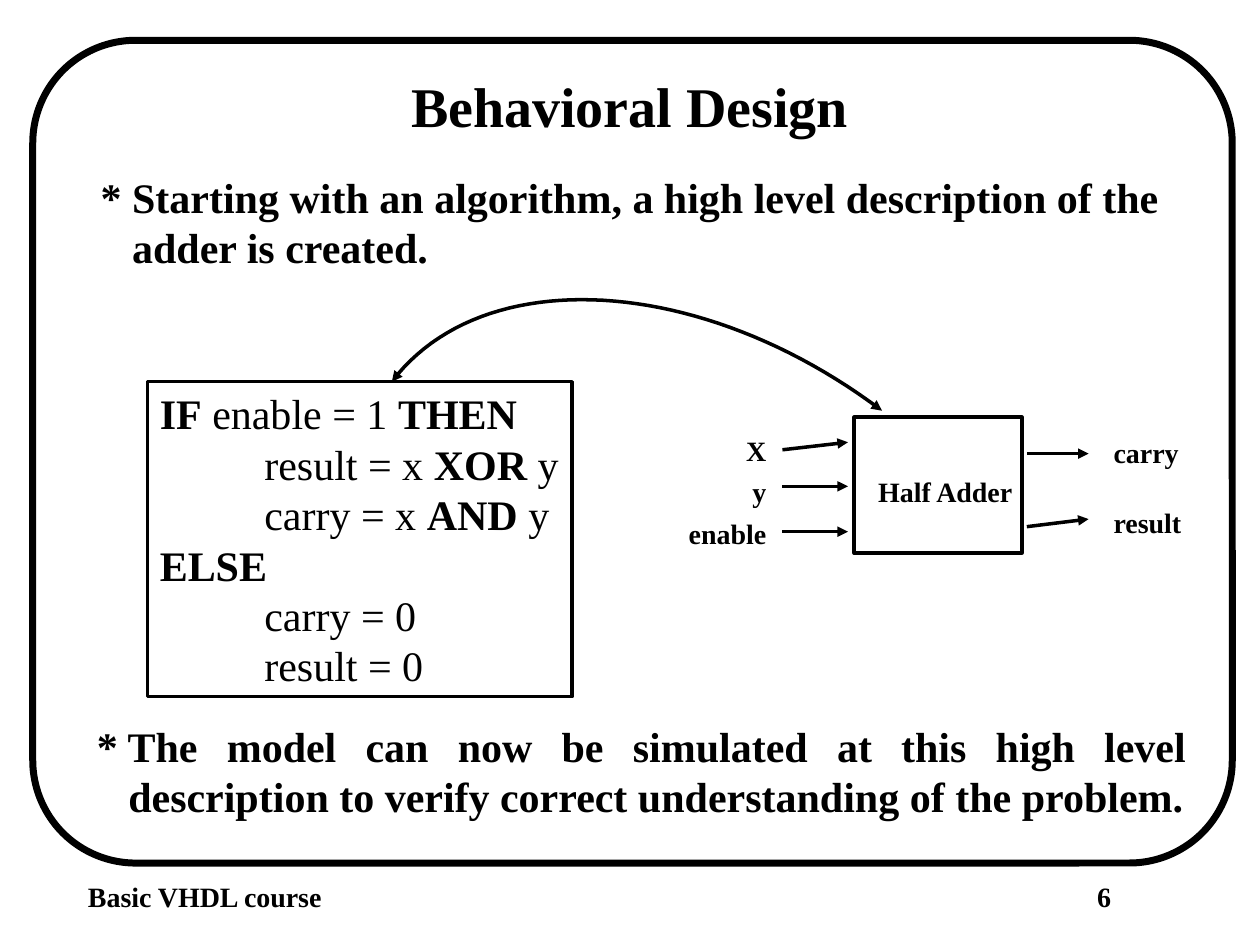
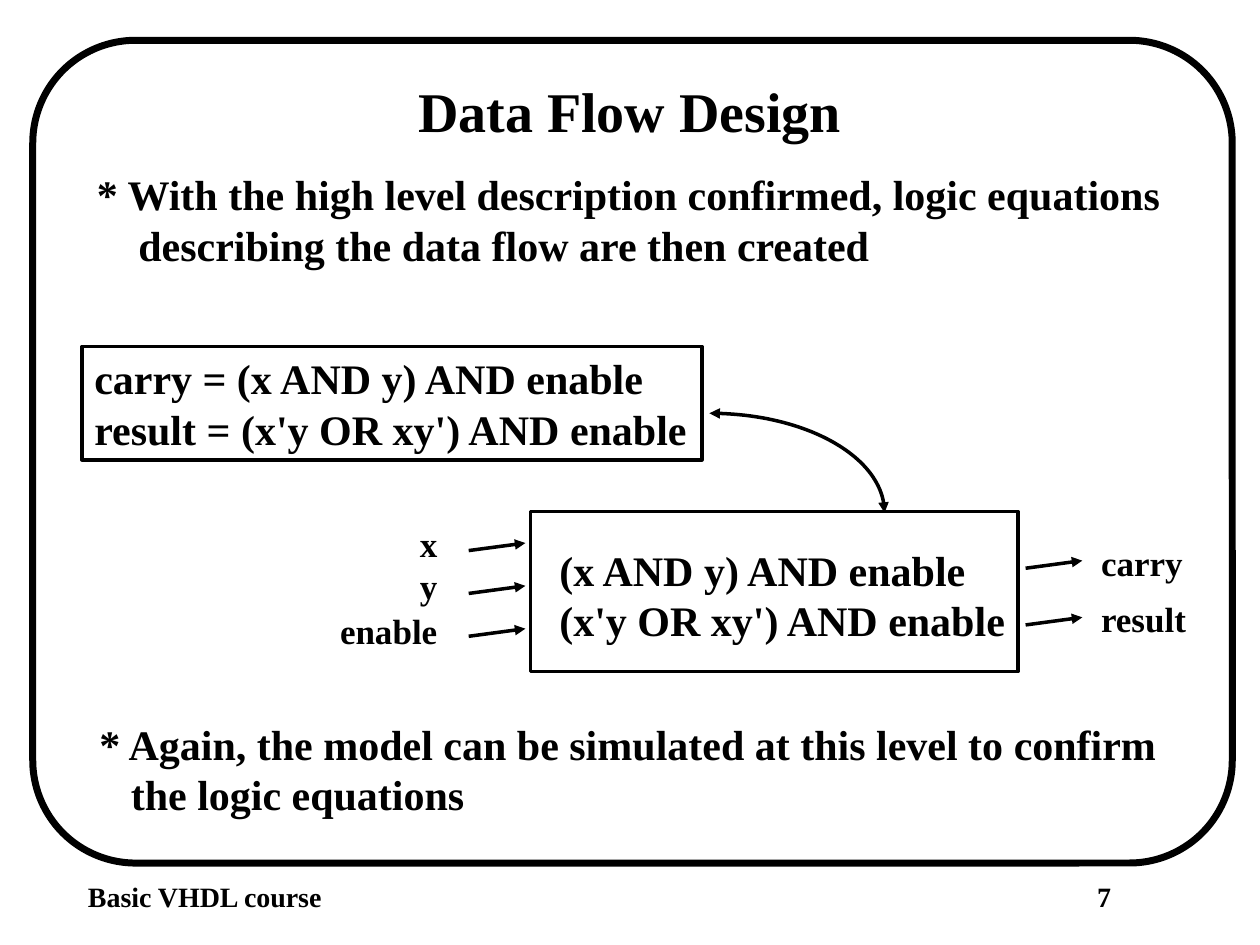
import pptx
import pptx.dml.color
import pptx.enum.shapes
import pptx.enum.text
import pptx.oxml
import pptx.oxml.ns
import pptx.util

Inches = pptx.util.Inches
Align = pptx.enum.text.PP_ALIGN
Anchor = pptx.enum.text.MSO_ANCHOR
Shape = pptx.enum.shapes.MSO_SHAPE

INK = "000000"
FONT = "Times New Roman"
TITLE_SIZE, BODY_SIZE, SMALL_SIZE = 32, 24, 16
HANG = 0.25       # width of the "* " marker
CODE_INDENT = 0.83
CURVE_STEPS = 48


def color(value):
    return pptx.dml.color.RGBColor.from_string(value)


def plain(text, indent=0):
    """A bold line of text as (indent, runs); a run is (text, bold, spacing)."""
    return indent, [(text, True, 0)]


def code(indent, *runs):
    return indent, [(text, bold, 0) for text, bold in runs]


def spread(text, points):
    """A bold line whose word gaps are widened by the given points."""
    words = text.split(" ")
    runs = [(words[0] + " " + words[1], True, 0)]
    for word in words[2:]:
        runs += [(" ", True, points), (word, True, 0)]
    return 0, runs


def write(shape, lines, size, align=Align.LEFT, anchor=Anchor.TOP, insets=(0.1, 0.05, 0, 0.05)):
    frame = shape.text_frame
    frame.word_wrap = True
    frame.vertical_anchor = anchor
    frame.margin_left, frame.margin_top, frame.margin_right, frame.margin_bottom = map(Inches, insets)
    for number, (indent, runs) in enumerate(lines):
        paragraph = frame.add_paragraph() if number else frame.paragraphs[0]
        paragraph.alignment = align
        if indent:
            properties = paragraph._p.get_or_add_pPr()
            properties.set("marL", str(Inches(indent)))
            properties.set("indent", "0")
        for text, bold, spacing in runs:
            run = paragraph.add_run()
            run.text = text
            run.font.name = FONT
            run.font.size = pptx.util.Pt(size)
            run.font.bold = bold
            run.font.color.rgb = color(INK)
            if spacing:
                run._r.get_or_add_rPr().set("spc", str(round(spacing * 100)))


def add_text(slide, box, lines, size, **options):
    write(slide.shapes.add_textbox(*map(Inches, box)), lines, size, **options)


def set_line(shape, width=2, ends=()):
    shape.line.color.rgb = color(INK)
    shape.line.width = pptx.util.Pt(width)
    line = shape._element.spPr.find(pptx.oxml.ns.qn("a:ln"))
    for end in ends:
        pptx.oxml.ns.qn("a:" + end)
        arrow = line.makeelement(pptx.oxml.ns.qn("a:" + end), {"type": "triangle"})
        line.append(arrow)


def add_outline(slide, box, kind=Shape.RECTANGLE, width=2):
    shape = slide.shapes.add_shape(kind, *map(Inches, box))
    shape.shadow.inherit = False
    shape.fill.background()
    set_line(shape, width)
    return shape


def add_arrow(slide, start, end):
    connector = slide.shapes.add_connector(
        pptx.enum.shapes.MSO_CONNECTOR.STRAIGHT, *map(Inches, (*start, *end)))
    set_line(connector, ends=["tailEnd"])
    properties = connector._element.spPr
    properties.append(properties.makeelement(pptx.oxml.ns.qn("a:effectLst"), {}))


def add_curve(slide, *controls):
    """A cubic curve through four control points, with an arrowhead at both ends."""
    points = []
    for step in range(CURVE_STEPS + 1):
        t = step / CURVE_STEPS
        weights = ((1 - t) ** 3, 3 * t * (1 - t) ** 2, 3 * t * t * (1 - t), t ** 3)
        points.append(tuple(
            Inches(sum(weight * point[axis] for weight, point in zip(weights, controls)))
            for axis in (0, 1)))
    builder = slide.shapes.build_freeform(*points[0])
    builder.add_line_segments(points[1:], close=False)
    curve = builder.convert_to_shape()
    curve.shadow.inherit = False
    curve.fill.background()
    set_line(curve, ends=["headEnd", "tailEnd"])


def start_slide(presentation, number, title, title_top):
    """Frame, footer and title that every slide carries."""
    slide = presentation.slides.add_slide(presentation.slide_layouts[6])
    frame = add_outline(slide, (0.26, 0.32, 9.52, 6.53), Shape.ROUNDED_RECTANGLE, 4)
    frame.adjustments[0] = 0.125
    add_text(slide, (8.61, 6.93, 1.2, 0.36), [plain(str(number))], SMALL_SIZE)
    add_text(slide, (0.6, 6.93, 2.5, 0.36), [plain("Basic VHDL course")], SMALL_SIZE)
    add_text(slide, (1, title_top, 8, 0.63), [plain(title)], TITLE_SIZE,
             align=Align.CENTER, insets=(0.1, 0.05, 0.1, 0.05))
    return slide


def add_statement(slide, left, top, lines):
    add_text(slide, (left, top, 9.05, 0.9), lines, BODY_SIZE)


def add_code(slide, box, lines):
    write(add_outline(slide, box), lines, BODY_SIZE)


def add_block(slide, box, lines, size, insets, label_size, inputs, outputs, input_x, output_x):
    """Logic block with labelled ports.

    Ports are (label, label top, arrow start y, arrow end y) from the block's top.
    input_x is (label edge, arrow start, arrow end) from its left side,
    output_x the same from its right side.
    """
    left, top, width, height = box
    write(add_outline(slide, box), lines, size, anchor=Anchor.MIDDLE, insets=insets)
    label_width, label_height = 1.2, 0.36
    sides = ((inputs, input_x, left, Align.RIGHT, label_width),
             (outputs, output_x, left + width, Align.LEFT, 0))
    for ports, (edge, arrow_start, arrow_end), side, align, shift in sides:
        for label, label_top, start_y, end_y in ports:
            add_arrow(slide, (side + arrow_start, top + start_y), (side + arrow_end, top + end_y))
            add_text(slide, (side + edge - shift, top + label_top, label_width, label_height),
                     [plain(label)], label_size, align=align, insets=(0.1, 0.05, 0.1, 0.05))


def build_behavioral(presentation):
    slide = start_slide(presentation, 6, "Behavioral Design", 0.52)
    add_statement(slide, 0.7, 1.31, [
        plain("* Starting with an algorithm, a high level description of the"),
        plain("adder is created.", HANG)])
    add_statement(slide, 0.67, 5.67, [
        spread("* The model can now be simulated at this high level", 10.67),
        plain("description to verify correct understanding of the problem.", HANG)])
    add_block(slide, (6.78, 3.31, 1.33, 1.08), [plain("Half Adder")], SMALL_SIZE,
              (0.19, 0.1, 0, 0), SMALL_SIZE,
              inputs=[("X", 0.08, 0.26, 0.2), ("y", 0.41, 0.55, 0.55),
                      ("enable", 0.74, 0.91, 0.91)],
              outputs=[("carry", 0.1, 0.29, 0.29), ("result", 0.65, 0.87, 0.81)],
              input_x=(-0.6, -0.57, -0.05), output_x=(0.63, 0.04, 0.53))
    add_code(slide, (1.17, 3.03, 3.37, 2.5), [
        code(0, ("IF", True), (" enable = 1 ", False), ("THEN", True)),
        code(CODE_INDENT, ("result = x ", False), ("XOR", True), (" y", False)),
        code(CODE_INDENT, ("carry = x ", False), ("AND", True), (" y", False)),
        code(0, ("ELSE", True)),
        code(CODE_INDENT, ("carry = 0", False)),
        code(CODE_INDENT, ("result = 0", False))])
    add_curve(slide, (3.11, 3.03), (3.83, 2.08), (5.57, 2.18), (7, 3.26))


def build_data_flow(presentation):
    slide = start_slide(presentation, 7, "Data Flow Design", 0.56)
    add_statement(slide, 0.67, 1.29, [
        plain("* With the high level description confirmed, logic equations"),
        plain("describing the data flow are then created", 0.33)])
    add_statement(slide, 0.69, 5.65, [
        plain("* Again, the model can be simulated at this level to confirm"),
        plain("the logic equations", HANG)])
    add_block(slide, (4.21, 4.06, 3.87, 1.27),
              [plain("(x AND y) AND enable"), plain("(x'y OR xy') AND enable")], BODY_SIZE,
              (0.23, 0.05, 0, 0), 20,
              inputs=[("x", 0.04, 0.31, 0.25), ("y", 0.37, 0.65, 0.59),
                      ("enable", 0.73, 0.99, 0.93)],
              outputs=[("carry", 0.19, 0.45, 0.39), ("result", 0.63, 0.9, 0.84)],
              input_x=(-0.64, -0.49, -0.04), output_x=(0.56, 0.06, 0.51))
    add_code(slide, (0.65, 2.75, 4.92, 0.9), [
        plain("carry = (x AND y) AND enable"),
        plain("result = (x'y OR xy') AND enable")])
    add_curve(slide, (5.63, 3.28), (6.4, 3.28), (7.02, 3.63), (7.02, 4.07))


def main():
    presentation = pptx.Presentation()
    presentation.slide_width = Inches(10)
    presentation.slide_height = Inches(7.5)
    build_behavioral(presentation)
    build_data_flow(presentation)
    presentation.save("out.pptx")


if __name__ == "__main__":
    main()
